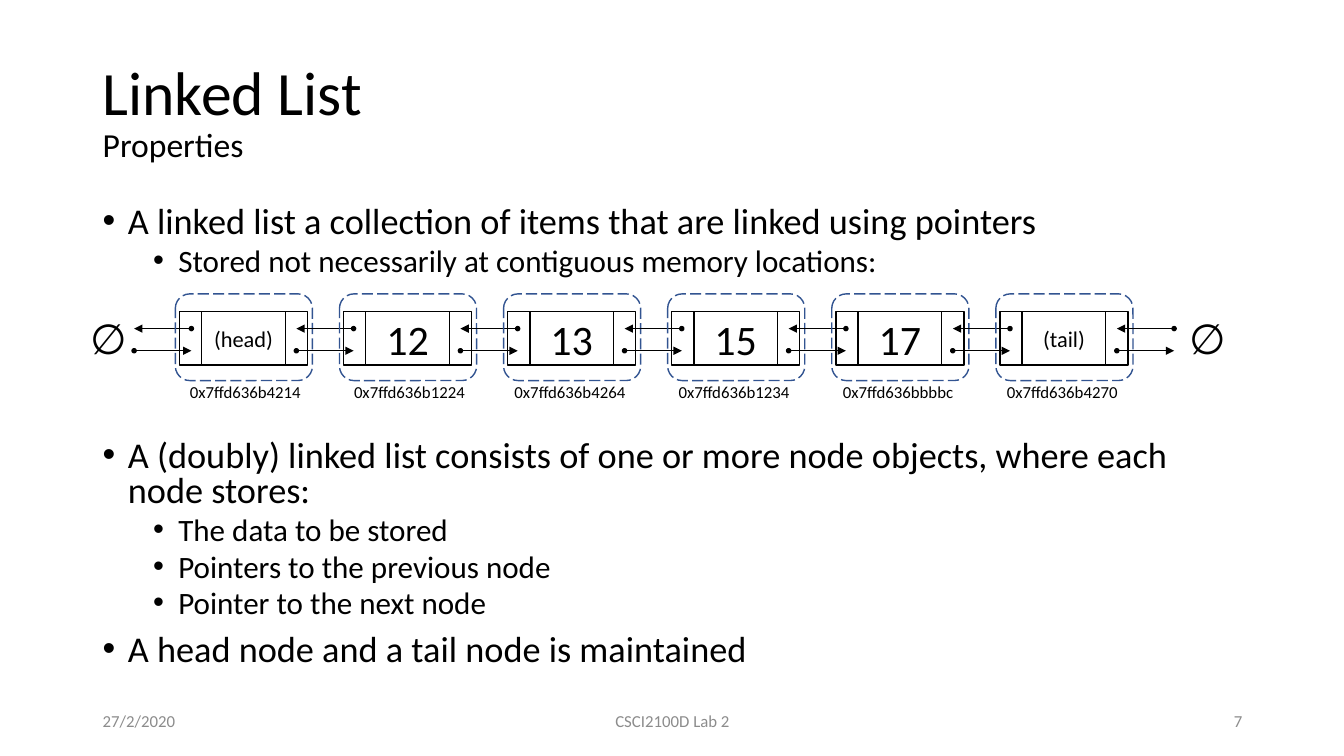
import dataclasses

import lxml.etree
import pptx
import pptx.dml.color
import pptx.enum.dml
import pptx.enum.shapes
import pptx.enum.text
import pptx.oxml.ns
import pptx.util

SHAPE = pptx.enum.shapes.MSO_SHAPE
ALIGN = pptx.enum.text.PP_ALIGN
MIDDLE = pptx.enum.text.MSO_ANCHOR.MIDDLE
PLAIN_TABLE = "{2D5ABB26-0587-4C30-8999-92F81FD0307C}"


@dataclasses.dataclass(frozen=True)
class Theme:
    font: str = "Calibri"
    ink: str = "000000"
    frame: str = "325491"
    muted: str = "8C8C8C"
    title: float = 44
    subtitle: float = 24
    body: tuple = (25.9, 22.2)
    value: float = 30
    role: float = 16
    small: float = 12


def add_xml(parent, tag, **attrs):
    return lxml.etree.SubElement(parent, pptx.oxml.ns.qn(tag), **attrs)


class Deck:
    """Places elements on one slide; lengths are percent of its width and height."""

    def __init__(self, theme):
        self.theme = theme
        self.prs = pptx.Presentation()
        self.prs.slide_width = pptx.util.Inches(13.33)
        self.prs.slide_height = pptx.util.Inches(7.5)
        self.slide = self.prs.slides.add_slide(self.prs.slide_layouts[6])

    def x(self, share):
        return round(self.prs.slide_width * share / 100)

    def y(self, share):
        return round(self.prs.slide_height * share / 100)

    def box(self, x, y, w, h):
        return self.x(x), self.y(y), self.x(w), self.y(h)

    def style(self, p, size, color=None, align=None):
        if align is not None:
            p.alignment = align
        for r in p.runs:
            r.font.name = self.theme.font
            r.font.size = pptx.util.Pt(size)
            r.font.color.rgb = pptx.dml.color.RGBColor.from_string(color or self.theme.ink)

    def text(self, area, text, size, color=None, align=ALIGN.LEFT):
        tf = self.slide.shapes.add_textbox(*self.box(*area)).text_frame
        tf.word_wrap = True
        tf.vertical_anchor = MIDDLE
        tf.text = text
        self.style(tf.paragraphs[0], size, color, align)
        return tf

    def title(self, area, heading, subheading):
        tf = self.text(area, f"{heading}\v{subheading}", self.theme.title)
        p = tf.paragraphs[0]
        p.line_spacing = 0.9
        p.runs[1].font.size = pptx.util.Pt(self.theme.subtitle)

    def bullets(self, area, items):
        """Each item is (level, space before in points, text)."""
        tf = self.slide.shapes.add_textbox(*self.box(*area)).text_frame
        tf.word_wrap = True
        for i, (level, space, text) in enumerate(items):
            p = tf.add_paragraph() if i else tf.paragraphs[0]
            p.text = text
            p.level = level
            p.line_spacing = 0.8
            p.space_before = pptx.util.Pt(space)
            self.style(p, self.theme.body[level])
            pPr = p._p.get_or_add_pPr()
            pPr.set("marL", str(self.x((1.88, 5.63)[level])))
            pPr.set("indent", str(-self.x(1.88)))
            add_xml(pPr, "a:buFont", typeface="Arial")
            add_xml(pPr, "a:buChar", char="•")

    def shape(self, kind, area, color=None, filled=False, dashed=False):
        rgb = pptx.dml.color.RGBColor.from_string(color or self.theme.ink)
        sp = self.slide.shapes.add_shape(kind, *self.box(*area))
        sp.shadow.inherit = False
        if filled:
            sp.fill.solid()
            sp.fill.fore_color.rgb = rgb
        else:
            sp.fill.background()
        sp.line.color.rgb = rgb
        sp.line.width = pptx.util.Pt(1)
        if dashed:
            sp.line.dash_style = pptx.enum.dml.MSO_LINE.LONG_DASH
        return sp

    def arrow(self, x1, x2, y):
        """A pointer: a dot at its start and a triangle at its end."""
        line = self.slide.shapes.add_connector(
            pptx.enum.shapes.MSO_CONNECTOR.STRAIGHT,
            self.x(x1), self.y(y), self.x(x2), self.y(y))
        line.line.color.rgb = pptx.dml.color.RGBColor.from_string(self.theme.ink)
        line.line.width = pptx.util.Pt(0.5)
        add_xml(line.line._get_or_add_ln(), "a:tailEnd", type="triangle")
        add_xml(line._element.spPr, "a:effectLst")
        self.shape(SHAPE.OVAL, (x1 - 0.15, y - 0.27, 0.3, 0.53), filled=True)

    def link(self, x):
        """The next and previous pointers between two neighbours."""
        self.arrow(x, x + 4.26, 46.4)
        self.arrow(x + 4.26, x, 43.47)

    def node(self, x, label, size):
        self.shape(SHAPE.ROUNDED_RECTANGLE, (x, 38.87, 10.2, 11.47),
                   self.theme.frame, dashed=True)
        self.shape(SHAPE.RECTANGLE, (x + 0.3, 41.2, 9.53, 7.07))
        tf = self.shape(SHAPE.RECTANGLE, (x + 1.95, 41.2, 6.23, 7.07)).text_frame
        tf.vertical_anchor = MIDDLE
        tf.text = label
        self.style(tf.paragraphs[0], size, align=ALIGN.CENTER)

    def table_row(self, x, y, col_width, height, texts):
        frame = self.slide.shapes.add_table(
            1, len(texts), *self.box(x, y, col_width * len(texts), height))
        table = frame.table
        table.first_row = table.horz_banding = False
        next(frame._element.iter(pptx.oxml.ns.qn("a:tableStyleId"))).text = PLAIN_TABLE
        for cell, text in zip(table.rows[0].cells, texts):
            cell.fill.background()
            cell.text_frame.text = text
            self.style(cell.text_frame.paragraphs[0], self.theme.small, align=ALIGN.CENTER)


def main():
    theme = Theme()
    deck = Deck(theme)

    # Title and bullets; the wide gap leaves room for the diagram
    deck.title((6.9, 5.33, 86.25, 19.33), "Linked List", "Properties")
    deck.bullets((6.9, 26.67, 86.25, 63.5), [
        (0, 10, "A linked list a collection of items that are linked using pointers"),
        (1, 5, "Stored not necessarily at contiguous memory locations:"),
        (0, 116, "A (doubly) linked list consists of one or more node objects, "
                 "where each node stores:"),
        (1, 5, "The data to be stored"),
        (1, 5, "Pointers to the previous node"),
        (1, 5, "Pointer to the next node"),
        (0, 10, "A head node and a tail node is maintained"),
    ])

    # Memory addresses under the nodes
    pitch = 12.21
    deck.table_row(12.15, 50, pitch, 4, ["0x7ffd636b4214", "0x7ffd636b1224"])
    deck.table_row(36.3, 50, pitch, 4, ["0x7ffd636b4264", "0x7ffd636b1234",
                                        "0x7ffd636bbbbc", "0x7ffd636b4270"])

    # Nodes, each with the link to its right
    deck.link(9.98)
    for i, label in enumerate(["(head)", "12", "13", "15", "17", "(tail)"]):
        x = 13.05 + i * pitch
        deck.node(x, label, theme.value if label.isdigit() else theme.role)
        deck.link(x + 9)

    # Null ends of the list
    for x in (4.95, 86.72):
        deck.text((x, 41.07, 6.23, 7.07), "∅", theme.value, align=ALIGN.CENTER)

    # Footer
    for x, w, text, align in [(6.9, 22.5, "27/2/2020", ALIGN.LEFT),
                              (33.16, 33.75, "CSCI2100D Lab 2", ALIGN.CENTER),
                              (70.67, 22.5, "7", ALIGN.RIGHT)]:
        deck.text((x, 92.67, w, 5.33), text, theme.small, theme.muted, align)

    deck.prs.save("out.pptx")


if __name__ == "__main__":
    main()
